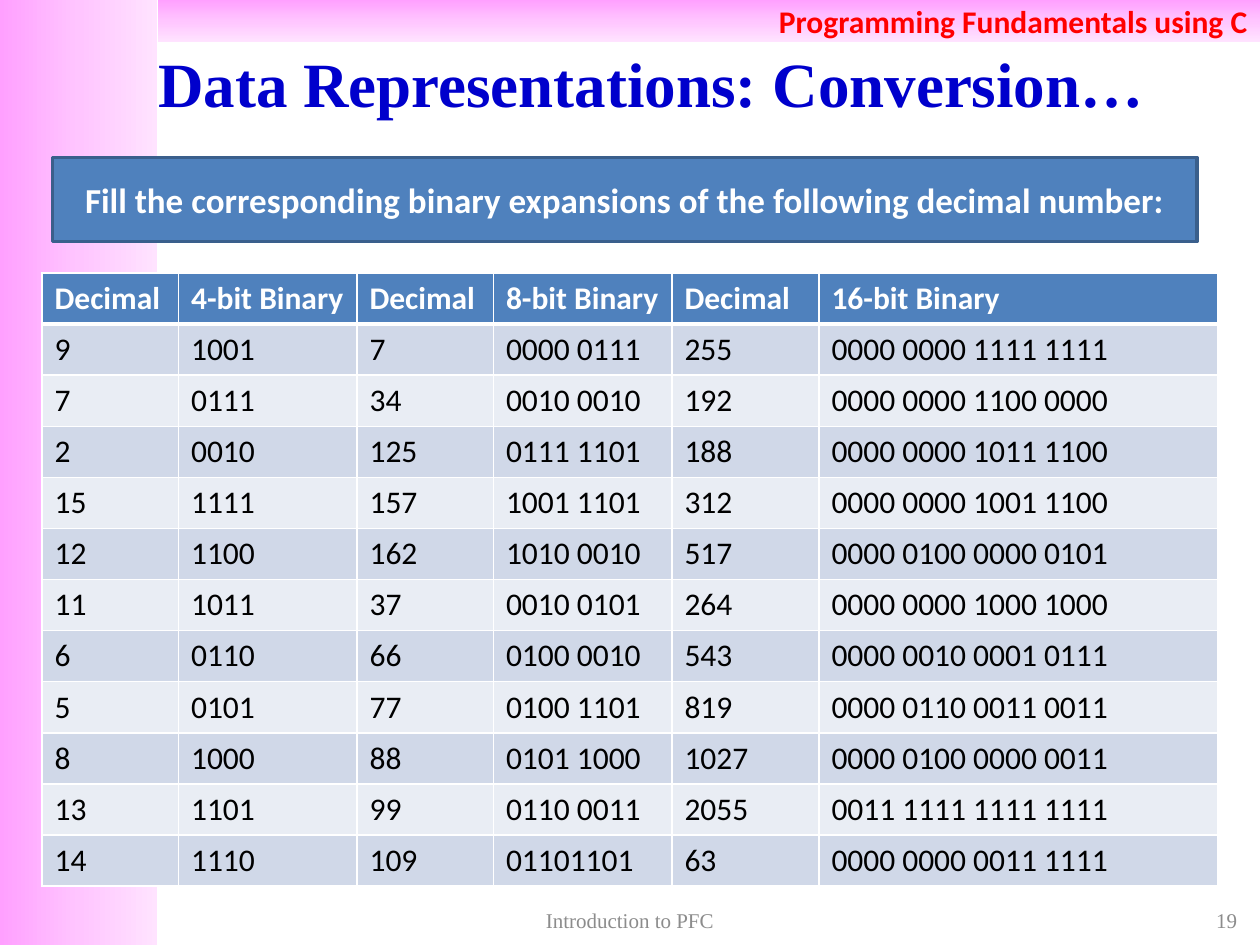
from copy import deepcopy
from typing import NamedTuple

from lxml.etree import SubElement
from pptx import Presentation
from pptx.dml.color import RGBColor
from pptx.enum.shapes import MSO_SHAPE as Shape
from pptx.enum.text import MSO_ANCHOR as Anchor, PP_ALIGN as Align
from pptx.oxml.ns import qn
from pptx.util import Emu, Pt

SCALE = 7620  # EMU in one px, 120 px to the inch
PINK_STOPS = ["FFA0FF", "FFC5FF", "FFE3FF"]
BLUE, WHITE = "4F81BD", "FFFFFF"
BANDS = ["E9EDF4", "D0D8E8"]


class Area(NamedTuple):
    left: int
    top: int
    width: int
    height: int


class Style(NamedTuple):
    size: int
    font: str
    color: str
    bold: bool = False
    align: Align = Align.LEFT


class Band(NamedTuple):
    area: Area
    angle: int


class Footer(NamedTuple):
    area: Area
    text: str
    align: Align


SIDE_BAND = Band(Area(0, 0, 150, 900), 0)
TOP_BAND = Band(Area(150, 0, 1050, 40), 270)
FOOTERS = [
    Footer(Area(910, 860, 280, 32), "19", Align.RIGHT),
    Footer(Area(410, 860, 380, 32), "Introduction to PFC", Align.CENTER),
]
TABLE_AREA = Area(40, 260, 1120, 584)
COLUMN_WIDTHS = [130, 170, 130, 170, 140, 380]
ROWS = [
    ("Decimal", "4-bit Binary", "Decimal", "8-bit Binary", "Decimal", "16-bit Binary"),
    ("9", "1001", "7", "0000 0111", "255", "0000 0000 1111 1111"),
    ("7", "0111", "34", "0010 0010", "192", "0000 0000 1100 0000"),
    ("2", "0010", "125", "0111 1101", "188", "0000 0000 1011 1100"),
    ("15", "1111", "157", "1001 1101", "312", "0000 0000 1001 1100"),
    ("12", "1100", "162", "1010 0010", "517", "0000 0100 0000 0101"),
    ("11", "1011", "37", "0010 0101", "264", "0000 0000 1000 1000"),
    ("6", "0110", "66", "0100 0010", "543", "0000 0010 0001 0111"),
    ("5", "0101", "77", "0100 1101", "819", "0000 0110 0011 0011"),
    ("8", "1000", "88", "0101 1000", "1027", "0000 0100 0000 0011"),
    ("13", "1101", "99", "0110 0011", "2055", "0011 1111 1111 1111"),
    ("14", "1110", "109", "01101101", "63", "0000 0000 0011 1111"),
]


def px(length: int) -> Emu:
    return Emu(length * SCALE)


def place(area: Area) -> list[Emu]:
    return [px(length) for length in area]


def rgb(color: str) -> RGBColor:
    return RGBColor.from_string(color)


def write(frame, text: str, style: Style) -> None:
    frame.text = text
    frame.word_wrap = True
    para = frame.paragraphs[0]
    para.alignment = style.align
    font = para.runs[0].font
    font.size, font.name, font.bold = Pt(style.size), style.font, style.bold
    font.color.rgb = rgb(style.color)


def add_box(page, area: Area):
    box = page.shapes.add_shape(Shape.RECTANGLE, *place(area))
    box.shadow.inherit = False
    box.text_frame.vertical_anchor = Anchor.MIDDLE
    return box


def add_band(page, band: Band):
    box = add_box(page, band.area)
    box.line.fill.background()
    box.fill.gradient()
    box.fill.gradient_angle = band.angle
    # The default gradient has two stops; add one between them
    stop_list = box.element.xpath(".//a:gsLst")[0]
    stop_list.insert(1, deepcopy(stop_list[0]))
    for index, (stop, color) in enumerate(zip(box.fill.gradient_stops, PINK_STOPS)):
        stop.position = index / 2
        stop.color.rgb = rgb(color)
    return box


def add_title(page, area: Area, text: str) -> None:
    title = page.shapes.title
    title.left, title.top, title.width, title.height = place(area)
    write(title.text_frame, text,
          Style(36, "Times New Roman", "0000CC", True, Align.CENTER))
    title.text_frame.vertical_anchor = Anchor.MIDDLE
    page.shapes.element.append(title.element)  # in front of the bands


def add_footer(page, footer: Footer) -> None:
    box = page.shapes.add_textbox(*place(footer.area))
    write(box.text_frame, footer.text,
          Style(12, "Times New Roman", "8C8C8C", align=footer.align))
    box.text_frame.vertical_anchor = Anchor.MIDDLE


def set_borders(cell, top: int, bottom: int) -> None:
    properties = cell._tc.get_or_add_tcPr()
    widths = {"a:lnL": 1, "a:lnR": 1, "a:lnT": top, "a:lnB": bottom}
    for index, (tag, width) in enumerate(widths.items()):
        line = SubElement(properties, qn(tag), w=str(Pt(width)))
        fill = SubElement(line, qn("a:solidFill"))
        SubElement(fill, qn("a:srgbClr"), val=WHITE)
        properties.insert(index, line)  # borders come before the cell fill


def add_number_table(page) -> None:
    frame = page.shapes.add_table(len(ROWS), len(COLUMN_WIDTHS), *place(TABLE_AREA))
    table = frame.table
    table.horz_banding = False
    for column, width in zip(table.columns, COLUMN_WIDTHS):
        column.width = px(width)
    for row_index, values in enumerate(ROWS):
        table.rows[row_index].height = px(TABLE_AREA.height) // len(ROWS)
        header = row_index == 0
        style = Style(18, "Calibri", WHITE if header else "000000", header)
        for column_index, value in enumerate(values):
            cell = table.cell(row_index, column_index)
            write(cell.text_frame, value, style)
            cell.fill.solid()
            cell.fill.fore_color.rgb = rgb(BLUE if header else BANDS[row_index % 2])
            set_borders(cell, 3 if row_index == 1 else 1, 3 if header else 1)


def add_banner(page, area: Area, text: str) -> None:
    box = add_box(page, area)
    box.fill.solid()
    box.fill.fore_color.rgb = rgb(BLUE)
    box.line.color.rgb = rgb("3A5F8C")
    box.line.width = Pt(2)
    write(box.text_frame, text, Style(20, "Calibri", WHITE, True, Align.CENTER))


def main() -> None:
    deck = Presentation()
    deck.slide_width, deck.slide_height = px(1200), px(900)
    page = deck.slides.add_slide(deck.slide_layouts[5])

    # Pink bands with the course name
    add_band(page, SIDE_BAND)
    course = add_band(page, TOP_BAND)
    write(course.text_frame, "Programming Fundamentals using C",
          Style(18, "Calibri", "FF0000", True, Align.RIGHT))

    # Title and footers
    add_title(page, Area(100, 36, 1040, 84), "Data Representations: Conversion…")
    for footer in FOOTERS:
        add_footer(page, footer)

    # Exercise
    add_number_table(page)
    add_banner(page, Area(50, 150, 1090, 80),
               "Fill the corresponding binary expansions of the following decimal number:")

    deck.save("out.pptx")


if __name__ == "__main__":
    main()
